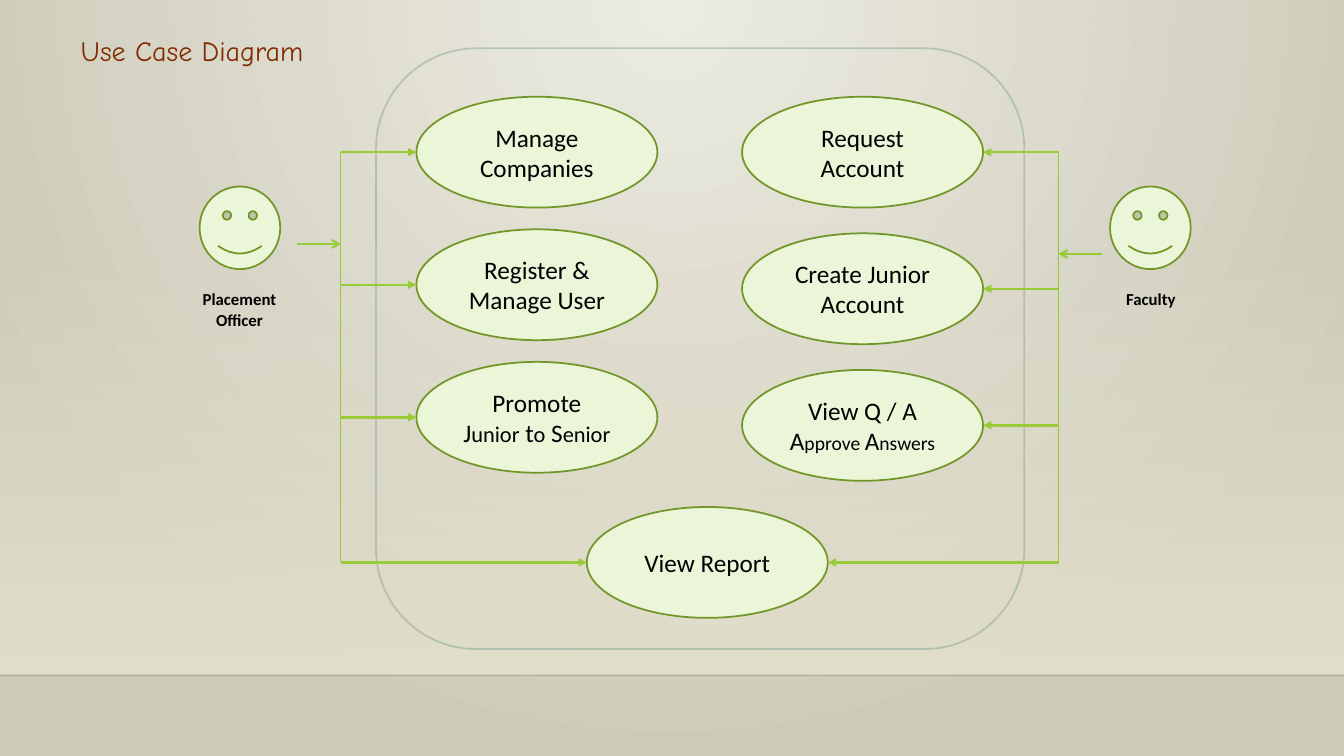
from lxml import etree
from pptx import Presentation
from pptx.dml.color import RGBColor
from pptx.enum.shapes import MSO_CONNECTOR, MSO_SHAPE
from pptx.enum.text import MSO_ANCHOR, MSO_AUTO_SIZE, PP_ALIGN
from pptx.oxml.ns import qn
from pptx.util import Inches, Pt

STRAIGHT = MSO_CONNECTOR.STRAIGHT
RECTANGLE, ROUNDED = MSO_SHAPE.RECTANGLE, MSO_SHAPE.ROUNDED_RECTANGLE
OVAL, SMILEY = MSO_SHAPE.OVAL, MSO_SHAPE.SMILEY_FACE
TOP, MIDDLE = MSO_ANCHOR.TOP, MSO_ANCHOR.MIDDLE
FIT_SHAPE = MSO_AUTO_SIZE.SHAPE_TO_FIT_TEXT
LEFT, CENTER = PP_ALIGN.LEFT, PP_ALIGN.CENTER

COLORS = {
    "glow": "ECEBE1", "backdrop": "CDCAB9", "wall": "E2DFCC", "floor line": "000001",
    "title": "812B00", "text": "000000", "fill": "EBF5D7", "outline": "719629",
    "boundary": "87A896", "arrow": "99CB38",
}
WIDTH, HEIGHT = 13.33, 7.5
FLOOR = 6.7
OVAL_WIDTH, OVAL_HEIGHT = 2.39, 1.1
FIRST_ROW = 0.96
REPORT_LEFT, REPORT_TOP = 5.82, 5.03
REPORT_MIDDLE = REPORT_TOP + OVAL_HEIGHT / 2

presentation = Presentation()
presentation.slide_width, presentation.slide_height = Inches(WIDTH), Inches(HEIGHT)
slide = presentation.slides.add_slide(presentation.slide_layouts[5])


def add_outlined_shape(kind, box, line_color="outline", fill_color=None):
    shape = slide.shapes.add_shape(kind, *map(Inches, box))
    shape.shadow.inherit = False
    shape.line.color.rgb = RGBColor.from_string(COLORS[line_color])
    shape.line.width = Pt(1.25)
    if fill_color:
        shape.fill.solid()
        shape.fill.fore_color.rgb = RGBColor.from_string(COLORS[fill_color])
    else:
        shape.fill.background()
    return shape


def add_line(start, end, width, color="arrow", head=None):
    line = slide.shapes.add_connector(STRAIGHT, *map(Inches, start + end))
    line.line.color.rgb = RGBColor.from_string(COLORS[color])
    line.line.width = Pt(width)
    if head:
        etree.SubElement(line.line._get_or_add_ln(), qn("a:tailEnd"), type=head)
    etree.SubElement(line._element.spPr, qn("a:effectLst"))
    return line


# Background: a glow from the top centre, and a wall that fades in down to the floor
background = slide.background.fill
wall = add_outlined_shape(RECTANGLE, (0, 2.21, WIDTH, FLOOR - 2.21))
wall.line.fill.background()
for fill, stop_colors in ((background, ("glow", "backdrop")), (wall.fill, ("wall", "wall"))):
    fill.gradient()
    for stop, color in zip(fill.gradient_stops, stop_colors):
        stop.color.rgb = RGBColor.from_string(COLORS[color])
wall.fill.gradient_angle = 270
wall_start = next(wall._element.spPr.iter(qn("a:srgbClr")))
etree.SubElement(wall_start, qn("a:alpha"), val="0")

glow = next(slide.background._cSld.iter(qn("a:gradFill")))
glow.remove(glow.find(qn("a:lin")))
glow_path = etree.Element(qn("a:path"), {"path": "circle"})
etree.SubElement(glow_path, qn("a:fillToRect"), l="43000", t="0", r="43000", b="100000")
glow.find(qn("a:gsLst")).addnext(glow_path)

floor_line = add_line((0, FLOOR), (WIDTH, FLOOR), 1, "floor line")
boundary = add_outlined_shape(ROUNDED, (3.73, 0.48, 6.43, 5.96), "boundary")
for shape, opacity in ((floor_line, "20000"), (boundary, "50000")):
    line_color = next(shape.line._get_or_add_ln().iter(qn("a:srgbClr")))
    etree.SubElement(line_color, qn("a:alpha"), val=opacity)

# Each entry: shape, paragraphs of (text, size) runs, and the text's format
title = slide.shapes.title
title.left, title.top, title.width, title.height = map(Inches, (0.7, 0.28, 2.55, 0.44))
title_format = {"name": "Comic Neue", "bold": False}
texts = [(title, [[("Use Case Diagram", 20)]], title_format, "title", LEFT, TOP)]

# Use cases: (left, row pitch, paragraphs of each oval)
columns = [
    (4.13, 1.315, [
        [[("Manage", 18)], [("Companies", 18)]],
        [[("Register & Manage User", 18)]],
        [[("Promote J", 18), ("unior", 16), (" t", 18), ("o", 16), (" S", 18), ("enior", 16)]],
    ]),
    (7.36, 1.355, [
        [[("Request Account", 18)]],
        [[("Create Junior Account", 18)]],
        [[("View Q / A", 18)], [("A", 18), ("pprove ", 14), ("A", 18), ("nswers", 14)]],
    ]),
]
use_cases = [
    (left, FIRST_ROW + row * pitch, paragraphs)
    for left, pitch, cases in columns
    for row, paragraphs in enumerate(cases)
]
use_cases.append((REPORT_LEFT, REPORT_TOP, [[("View Report", 18)]]))
for left, top, paragraphs in use_cases:
    oval = add_outlined_shape(OVAL, (left, top, OVAL_WIDTH, OVAL_HEIGHT), fill_color="fill")
    texts.append((oval, paragraphs, {"name": "Calibri"}, "text", CENTER, MIDDLE))

# Actors: (name, face left, label left, label height)
for name, face_left, label_left, label_height in (
    ("Placement Officer", 1.98, 1.7, 0.5),
    ("Faculty", 11.01, 10.74, 0.3),
):
    add_outlined_shape(SMILEY, (face_left, 1.85, 0.8, 0.82), fill_color="fill")
    label = slide.shapes.add_textbox(*map(Inches, (label_left, 2.82, 1.35, label_height)))
    label_format = {"name": "Calibri", "bold": True}
    texts.append((label, [[(name, 12)]], label_format, "text", CENTER, TOP))

for shape, paragraphs, font_format, color, alignment, anchor in texts:
    frame = shape.text_frame
    frame.word_wrap = True
    frame.vertical_anchor = anchor
    if anchor == TOP:
        frame.auto_size = FIT_SHAPE
    for index, runs in enumerate(paragraphs):
        paragraph = frame.add_paragraph() if index else frame.paragraphs[0]
        paragraph.alignment = alignment
        for text, size in runs:
            run = paragraph.add_run()
            run.text = text
            run.font.size = Pt(size)
            run.font.color.rgb = RGBColor.from_string(COLORS[color])
            for attribute, value in font_format.items():
                setattr(run.font, attribute, value)

# Each actor's arrow meets a trunk, which branches to that side's ovals and the report
for trunk, actor, actor_y, oval_edge, pitch, report_edge in (
    (3.38, 2.95, 2.42, 4.13, 1.315, REPORT_LEFT),
    (10.5, 10.93, 2.52, 7.36 + OVAL_WIDTH, 1.355, REPORT_LEFT + OVAL_WIDTH),
):
    first_y = FIRST_ROW + OVAL_HEIGHT / 2
    add_line((trunk, first_y), (trunk, REPORT_MIDDLE), 0.75)
    add_line((actor, actor_y), (trunk, actor_y), 1.5, head="arrow")
    for row in range(3):
        y = first_y + row * pitch
        add_line((trunk, y), (oval_edge, y), 1.75, head="triangle")
    add_line((trunk, REPORT_MIDDLE), (report_edge, REPORT_MIDDLE), 1.75, head="triangle")

presentation.save("out.pptx")
